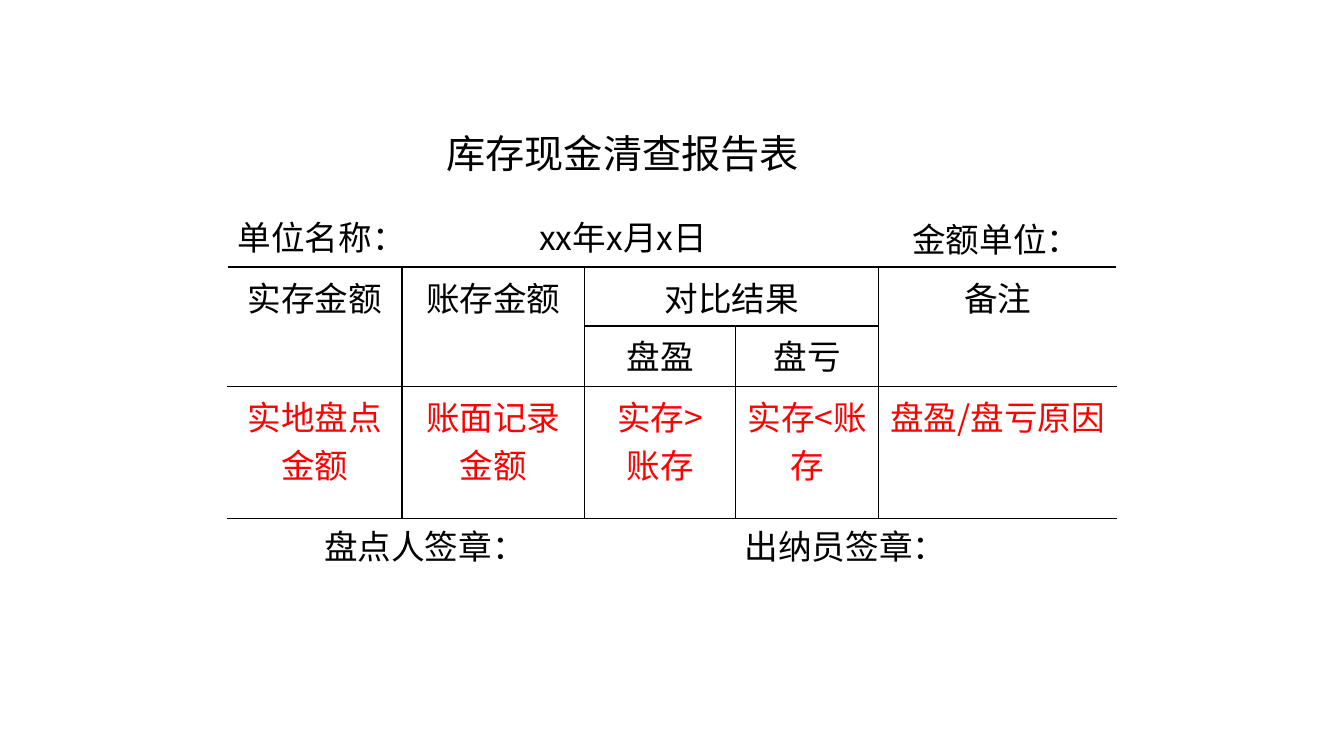
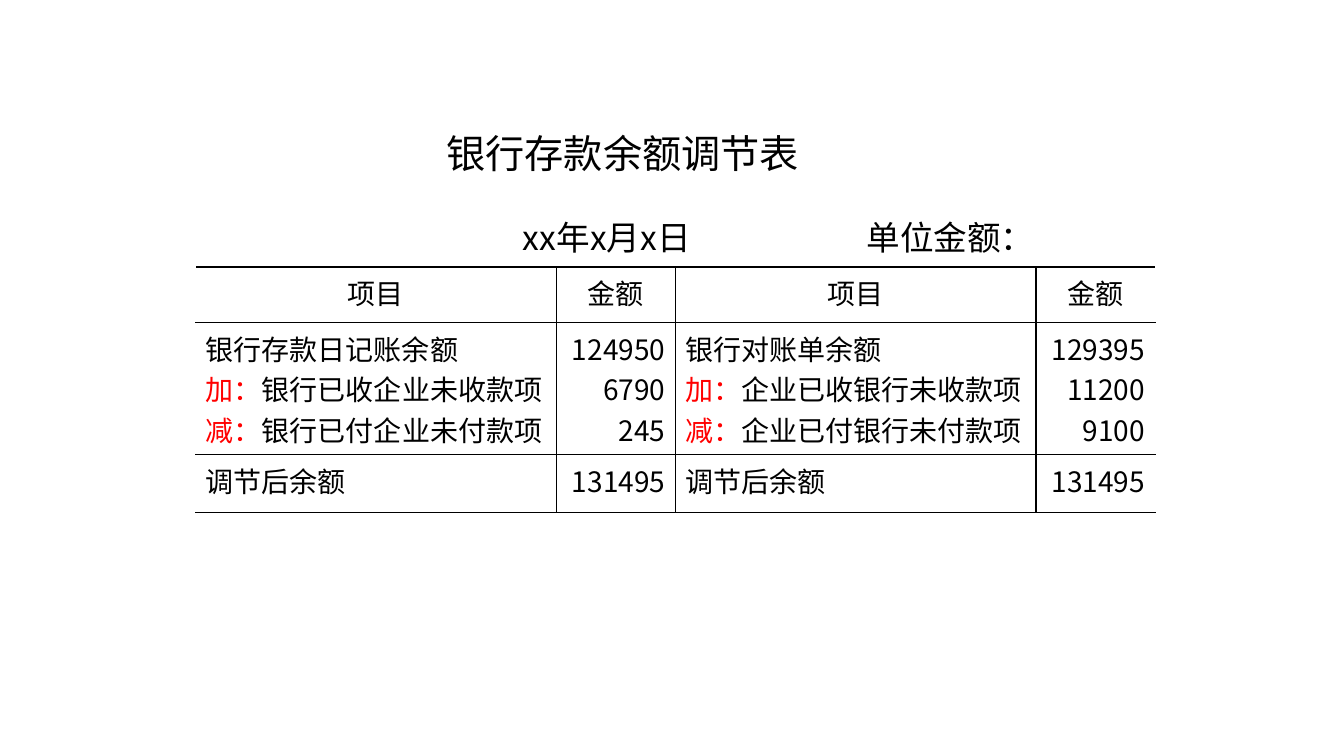
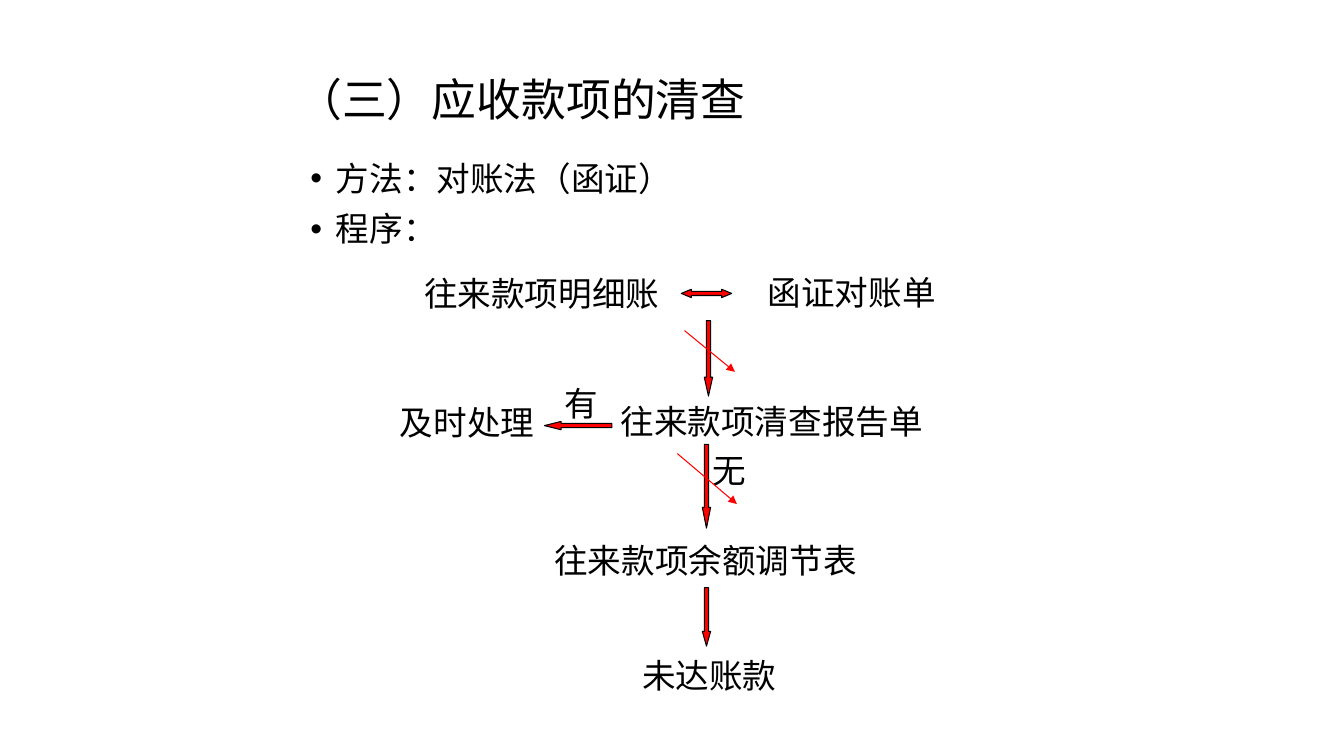
from dataclasses import dataclass

from lxml.etree import SubElement
from pptx import Presentation
from pptx.dml.color import RGBColor
from pptx.enum.shapes import MSO_CONNECTOR, MSO_SHAPE
from pptx.enum.text import MSO_ANCHOR, MSO_AUTO_SIZE, PP_ALIGN
from pptx.oxml.ns import qn
from pptx.util import Cm, Pt

FONT = "Noto Sans CJK SC"
BLACK, WHITE, RED = "000000", "FFFFFF", "FF0000"
TITLE_ONLY, TITLE_AND_BODY = 5, 1
LABEL_SIZE = 24
ARROW_THICKNESS = 0.21
FRAME_FORMAT = {"word_wrap": True, "auto_size": MSO_AUTO_SIZE.NONE}


@dataclass
class Box:
    left: float
    top: float
    width: float
    height: float

    def inner(self, left, top, width, height):
        return Box(self.left + left, self.top + top, width, height)

    def lengths(self):
        return [Cm(value) for value in (self.left, self.top, self.width, self.height)]


REPORT_TITLE_BOX = Box(11, 3.12, 13, 2.79)


def color(value):
    return RGBColor.from_string(value)


def apply_format(target, values):
    for name, value in values.items():
        setattr(target, name, value)


def write_paragraph(paragraph, runs, size, alignment=PP_ALIGN.LEFT, **values):
    apply_format(paragraph, {"alignment": alignment, "space_before": Pt(0), **values})
    for text, run_color in runs:
        run = paragraph.add_run()
        run.text = text
        run.font.color.rgb = color(run_color)
        apply_format(run.font, {"size": Pt(size), "name": FONT})
        SubElement(run.font._element, qn("a:ea"), typeface=FONT)


def write_paragraphs(frame, paragraphs, size, alignment):
    for index, runs in enumerate(paragraphs):
        paragraph = frame.add_paragraph() if index else frame.paragraphs[0]
        write_paragraph(paragraph, runs, size, alignment)


def place(shape, box):
    apply_format(shape, dict(zip(("left", "top", "width", "height"), box.lengths())))


def add_title(slide, text, box, size, anchor):
    title = slide.shapes.title
    place(title, box)
    apply_format(title.text_frame, {**FRAME_FORMAT, "vertical_anchor": anchor})
    write_paragraph(title.text_frame.paragraphs[0], [(text, BLACK)], size, line_spacing=0.9 if anchor == MSO_ANCHOR.MIDDLE else 1.0)


def add_label(slide, text, box, wrap=True):
    shape = slide.shapes.add_textbox(*box.lengths())
    apply_format(shape.text_frame, {**FRAME_FORMAT, "word_wrap": wrap})
    write_paragraph(shape.text_frame.paragraphs[0], [(text, BLACK)], LABEL_SIZE)


def add_bullets(slide, texts, box):
    body = slide.placeholders[1]
    place(body, box)
    apply_format(body.text_frame, FRAME_FORMAT)
    for index, text in enumerate(texts):
        paragraph = body.text_frame.add_paragraph() if index else body.text_frame.paragraphs[0]
        properties = paragraph._p.get_or_add_pPr()
        properties.set("marL", str(Cm(0.64)))
        properties.set("indent", str(-Cm(0.64)))
        SubElement(properties, qn("a:buChar"), char="•")
        write_paragraph(paragraph, [(text, BLACK)], LABEL_SIZE, line_spacing=0.9, space_before=Pt(10 if index else 0))


def set_borders(cell, left, right):
    properties = cell._tc.get_or_add_tcPr()
    for side, value in {"L": left, "R": right, "T": BLACK, "B": BLACK}.items():
        line = SubElement(properties, qn(f"a:ln{side}"), w=str(Pt(1)))
        SubElement(SubElement(line, qn("a:solidFill")), qn("a:srgbClr"), val=value)
    cell.fill.background()


def add_grid(slide, box, widths, heights, size, cells, merges=()):
    shape = slide.shapes.add_table(len(heights), len(widths), *box.lengths())
    table = shape.table
    apply_format(table, {"first_row": False, "horz_banding": False})
    for column, width in zip(table.columns, widths):
        column.width = Cm(width)
    for row, height in zip(table.rows, heights):
        row.height = Cm(height)
    last = len(widths) - 1
    for row in range(len(heights)):
        for column in range(len(widths)):
            set_borders(table.cell(row, column), BLACK if column else WHITE, WHITE if column == last else BLACK)
    for start, end in merges:
        table.cell(*start).merge(table.cell(*end))
    for (row, column), (paragraphs, alignment) in cells.items():
        write_paragraphs(table.cell(row, column).text_frame, paragraphs, size, alignment)


def report_slide(presentation, title, box, labels, **grid):
    slide = presentation.slides.add_slide(presentation.slide_layouts[TITLE_ONLY])
    add_title(slide, title, REPORT_TITLE_BOX, 28, MSO_ANCHOR.TOP)
    add_grid(slide, box, **grid)
    for text, left, top, width in labels:
        add_label(slide, text, box.inner(left, top, width, 2.79))


def centered(text, text_color=BLACK):
    return [[(line, text_color)] for line in text.split("\n")], PP_ALIGN.CENTER


def cash_report_slide(presentation):
    headings = {
        (0, 0): "实存金额", (0, 1): "账存金额", (0, 2): "对比结果", (0, 4): "备注",
        (1, 2): "盘盈", (1, 3): "盘亏",
    }
    explanations = ["实地盘点金额", "账面记录金额", "实存>\n账存", "实存<账存", "盘盈/盘亏原因"]
    cells = {position: centered(text) for position, text in headings.items()}
    cells.update({(2, column): centered(text, RED) for column, text in enumerate(explanations)})
    report_slide(
        presentation, "库存现金清查报告表", Box(5.74, 6.73, 22.4, 6.12),
        [
            ("单位名称：", 0, -1.4, 7),
            ("xx年x月x日", 7.6, -1.4, 8),
            ("金额单位：", 17, -1.35, 4.8),
            ("盘点人签章：", 2.18, 6.4, 10),
            ("出纳员签章：", 12.78, 6.4, 7.1),
        ],
        widths=[4.39, 4.6, 3.81, 3.61, 5.99], heights=[1.27, 1.52, 3.33], size=24, cells=cells,
        merges=[((0, 0), (1, 0)), ((0, 1), (1, 1)), ((0, 2), (0, 3)), ((0, 4), (1, 4))],
    )


def bank_report_slide(presentation):
    sides = [
        ("银行存款日记账余额", "银行已收企业未收款项", "银行已付企业未付款项", ["124950", "6790", "245"]),
        ("银行对账单余额", "企业已收银行未收款项", "企业已付银行未付款项", ["129395", "11200", "9100"]),
    ]
    cells = {}
    for index, (balance, addition, deduction, amounts) in enumerate(sides):
        item, amount = 2 * index, 2 * index + 1
        entries = [
            [(balance, BLACK)],
            [("加：", RED), (addition, BLACK)],
            [("减：", RED), (deduction, BLACK)],
        ]
        cells.update({
            (0, item): centered("项目"),
            (0, amount): centered("金额"),
            (1, item): (entries, PP_ALIGN.LEFT),
            (1, amount): ([[(value, BLACK)] for value in amounts], PP_ALIGN.RIGHT),
            (2, item): ([[("调节后余额", BLACK)]], PP_ALIGN.LEFT),
            (2, amount): ([[("131495", BLACK)]], PP_ALIGN.RIGHT),
        })
    report_slide(
        presentation, "银行存款余额调节表", Box(4.93, 6.73, 24.18, 6.18),
        [("xx年x月x日", 8, -1.4, 8), ("单位金额：", 16.66, -1.4, 4.8)],
        widths=[9.09, 3, 9.09, 3], heights=[1.4, 3.33, 1.45], size=20, cells=cells,
    )


def add_block_arrow(slide, kind, box, head_length):
    arrow = slide.shapes.add_shape(kind, *box.lengths())
    arrow.shadow.inherit = False
    arrow.adjustments[0] = 0.5
    arrow.adjustments[1] = head_length
    arrow.fill.solid()
    arrow.fill.fore_color.rgb = color(RED)
    arrow.line.color.rgb = color(BLACK)
    arrow.line.width = Pt(0.75)


def add_thin_arrow(slide, box):
    left, top, width, height = box.lengths()
    connector = slide.shapes.add_connector(MSO_CONNECTOR.STRAIGHT, left, top, left + width, top + height)
    connector.line.color.rgb = color(RED)
    connector.line.width = Pt(0.75)
    SubElement(connector.line._get_or_add_ln(), qn("a:tailEnd"), type="triangle")
    SubElement(connector._element.spPr, qn("a:effectLst"))


def add_procedure(slide, box):
    arrows = [
        (MSO_SHAPE.LEFT_RIGHT_ARROW, 7.34, 0.56, 1.27, ARROW_THICKNESS, 1.2),
        (MSO_SHAPE.DOWN_ARROW, 7.92, 1.35, ARROW_THICKNESS, 1.9, 2.25),
        (MSO_SHAPE.LEFT_ARROW, 3.89, 3.89, 1.7, ARROW_THICKNESS, 2),
        (MSO_SHAPE.DOWN_ARROW, 7.87, 4.47, ARROW_THICKNESS, 2.11, 2.5),
        (MSO_SHAPE.DOWN_ARROW, 7.87, 8.08, ARROW_THICKNESS, 1.47, 1.75),
    ]
    steps = [
        ("往来款项明细账", 0.61, 0.03, 7.26),
        ("往来款项清查报告单", 5.56, 3.25, 12.27),
        ("有", 4.14, 2.79, 1.7),
        ("及时处理", 0, 3.28, 6.55),
        ("无", 7.87, 4.47, 2.97),
        ("往来款项余额调节表", 3.89, 6.76, 12.7),
        ("未达账款", 6.1, 9.65, 7.19),
    ]
    for kind, left, top, width, height, head_length in arrows:
        add_block_arrow(slide, kind, box.inner(left, top, width, height), head_length)
    for text, left, top, width in steps:
        add_label(slide, text, box.inner(left, top, width, 1.3))
    add_label(slide, "函证对账单", box.inner(9.27, 0, 4.8, 1.27), wrap=False)
    for left, top, width, height in [(7.42, 1.6, 1.27, 1.04), (7.24, 4.7, 1.5, 1.27)]:
        add_thin_arrow(slide, box.inner(left, top, width, height))


def receivables_slide(presentation):
    slide = presentation.slides.add_slide(presentation.slide_layouts[TITLE_AND_BODY])
    add_title(slide, "（三）应收款项的清查", Box(7.24, 1.73, 18.29, 1.7), 32, MSO_ANCHOR.MIDDLE)
    add_bullets(slide, ["方法：对账法（函证）", "程序："], Box(7.57, 3.96, 20.37, 2.77))
    add_procedure(slide, Box(9.83, 6.73, 17.83, 10.95))


def main():
    presentation = Presentation()
    apply_format(presentation, {"slide_width": Cm(33.87), "slide_height": Cm(19.05)})
    cash_report_slide(presentation)
    bank_report_slide(presentation)
    receivables_slide(presentation)
    presentation.save("out.pptx")


if __name__ == "__main__":
    main()
